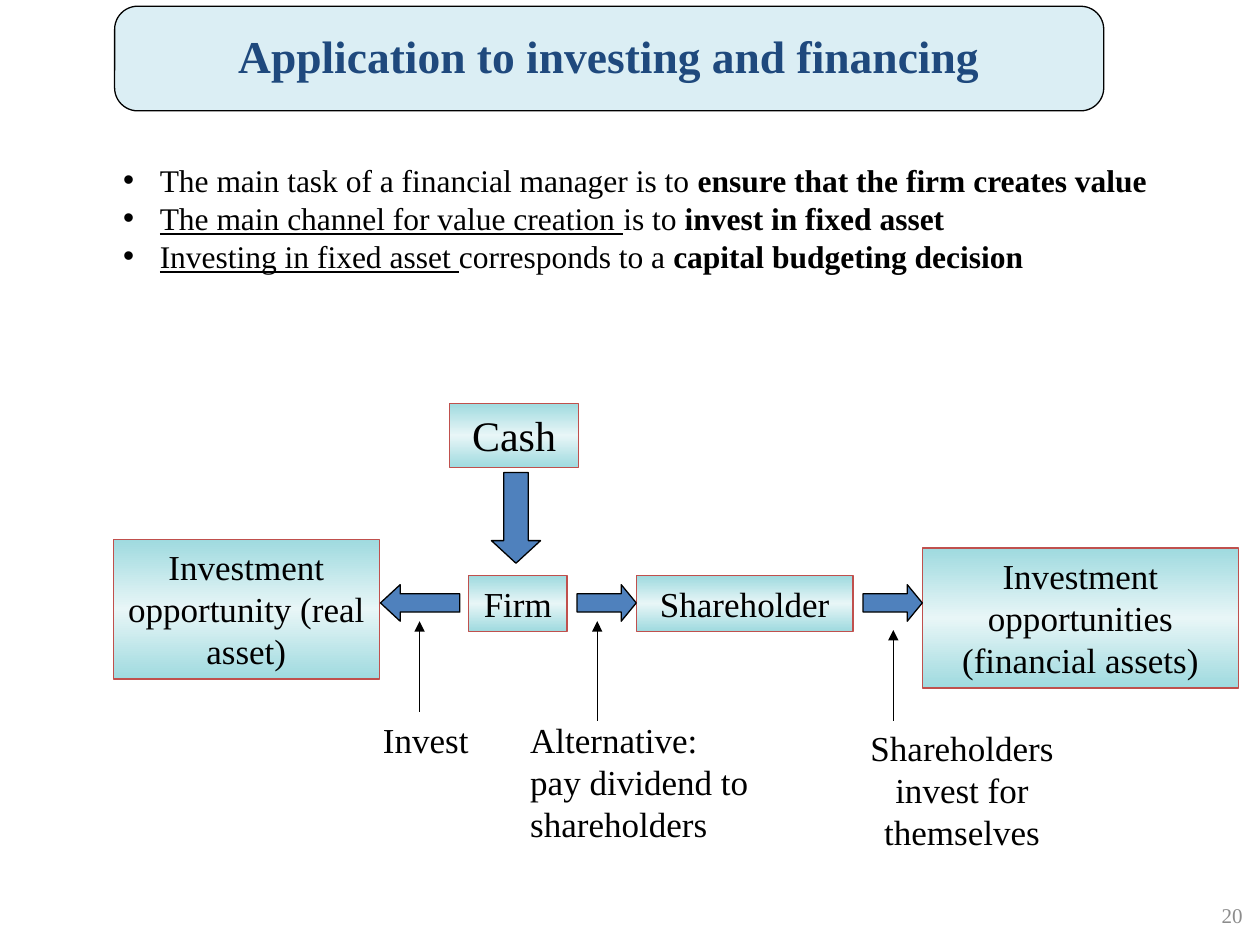
from copy import deepcopy

from lxml.etree import SubElement
from pptx import Presentation
from pptx.dml.color import RGBColor
from pptx.enum.shapes import MSO_CONNECTOR, MSO_SHAPE
from pptx.enum.text import MSO_ANCHOR, PP_ALIGN
from pptx.oxml.ns import qn
from pptx.util import Inches, Pt

WIDTH, HEIGHT = Inches(10), Inches(7.5)
COLS, ROWS = 100, 75
FONT = "Times New Roman"
BLACK, RED, BLUE, NAVY = "000000", "C0504D", "4F81BD", "1F497D"
PALE, GREY = "DBEEF4", "8C8C8C"
BOX_GRADIENT = ("9FDADF", "E8F6F7", "9FDADF")

BULLETS = [
    [("The main task of a financial manager is to ", ""),
     ("ensure that the firm creates value", "b")],
    [("The main channel for value creation ", "u"), ("is to ", ""),
     ("invest in fixed asset", "b")],
    [("Investing in fixed asset ", "u"), ("corresponds to a ", ""),
     ("capital budgeting decision", "b")],
]
BOXES = [
    ("Cash", (35.7, 32, 10.2, 5.1), 24),
    ("Investment opportunity (real asset)", (9, 42.8, 21.1, 11.1), 20),
    ("Firm", (37.2, 45.7, 7.8, 4.4), 20),
    ("Shareholder", (50.5, 45.7, 17.2, 4.4), 20),
    ("Investment opportunities (financial assets)", (73.2, 43.5, 25.1, 11.1), 20),
]
BLOCK_ARROWS = [
    (MSO_SHAPE.DOWN_ARROW, (39, 37.5, 3.9, 7.2), 0.46),
    (MSO_SHAPE.LEFT_ARROW, (30.2, 46.4, 6.3, 2.9), 0.54),
    (MSO_SHAPE.RIGHT_ARROW, (45.8, 46.4, 4.7, 2.9), 0.41),
    (MSO_SHAPE.RIGHT_ARROW, (68.5, 46.4, 4.7, 2.9), 0.41),
]
LABELS = [
    ("Invest", (29.4, 56.5, 10.2, 4.3), PP_ALIGN.LEFT),
    ("Alternative:\vpay dividend to shareholders", (41.1, 56.5, 21, 11), PP_ALIGN.LEFT),
    ("Shareholders invest for themselves", (64.6, 57.2, 23.5, 11), PP_ALIGN.CENTER),
]
POINTERS = [(33.3, 56.5, 49.3), (47.4, 57.2, 49.3), (70.9, 57.2, 50)]


def color(hex_code):
    """Return the colour for a hex string."""
    return RGBColor.from_string(hex_code)


def x(col):
    """Return the horizontal position of a grid column."""
    return int(WIDTH * col / COLS)


def y(row):
    """Return the vertical position of a grid row."""
    return int(HEIGHT * row / ROWS)


def place(cell):
    """Return left, top, width and height of a grid cell."""
    left, top, width, height = cell
    return x(left), y(top), x(width), y(height)


def style_run(r, size, hex_code=BLACK, marks=""):
    """Set the font of a run, with b for bold and u for underline."""
    r.font.name = FONT
    r.font.size = Pt(size)
    r.font.color.rgb = color(hex_code)
    r.font.bold = "b" in marks
    r.font.underline = "u" in marks


def write(s, text, size, align, hex_code=BLACK, marks="", anchor=MSO_ANCHOR.TOP):
    """Write one paragraph of text into a shape."""
    tf = s.text_frame
    tf.word_wrap = True
    tf.vertical_anchor = anchor
    tf.text = text
    p = tf.paragraphs[0]
    p.alignment = align
    for r in p.runs:
        style_run(r, size, hex_code, marks)
    return p


def add_shape(slide, kind, cell, line, fill=None):
    """Add a flat preset shape with a thin outline."""
    s = slide.shapes.add_shape(kind, *place(cell))
    s.shadow.inherit = False
    s.line.color.rgb = color(line)
    s.line.width = Pt(0.75)
    if fill:
        s.fill.solid()
        s.fill.fore_color.rgb = color(fill)
    return s


def add_box(slide, text, cell, size):
    """Add a labelled box with a vertical gradient."""
    s = add_shape(slide, MSO_SHAPE.RECTANGLE, cell, RED)
    s.fill.gradient()
    s.fill.gradient_angle = 90
    first = s._element.spPr.find(".//" + qn("a:gs"))
    middle = deepcopy(first)
    middle.set("pos", "50000")
    first.addnext(middle)
    for stop, hex_code in zip(s.fill.gradient_stops, BOX_GRADIENT):
        stop.color.rgb = color(hex_code)
    write(s, text, size, PP_ALIGN.CENTER)


def add_block_arrow(slide, kind, cell, head):
    """Add a block arrow with the given head length."""
    s = add_shape(slide, kind, cell, BLACK, BLUE)
    s.adjustments[0] = 0.5
    s.adjustments[1] = head


def add_text(slide, text, cell, align, size=20, hex_code=BLACK, anchor=MSO_ANCHOR.TOP):
    """Add a plain text box."""
    write(slide.shapes.add_textbox(*place(cell)), text, size, align, hex_code, anchor=anchor)


def add_pointer(slide, col, start, end):
    """Add a thin vertical arrow from a label up to the flow."""
    s = slide.shapes.add_connector(MSO_CONNECTOR.STRAIGHT, x(col), y(start), x(col), y(end))
    s.line.color.rgb = color(BLACK)
    s.line.width = Pt(0.75)
    SubElement(s.line._get_or_add_ln(), qn("a:tailEnd"), type="triangle")
    SubElement(s._element.spPr, qn("a:effectLst"))


def add_bullets(slide, cell):
    """Add the bulleted statements with their emphasis."""
    tf = slide.shapes.add_textbox(*place(cell)).text_frame
    tf.word_wrap = True
    for i, parts in enumerate(BULLETS):
        p = tf.add_paragraph() if i else tf.paragraphs[0]
        pPr = p._p.get_or_add_pPr()
        pPr.set("marL", str(Inches(0.29)))
        pPr.set("indent", str(-Inches(0.29)))
        SubElement(pPr, qn("a:buFont"), typeface="Arial")
        SubElement(pPr, qn("a:buChar"), char="•")
        for text, marks in parts:
            r = p.add_run()
            r.text = text
            style_run(r, 18, marks=marks)


def add_title(slide, text, cell):
    """Add the rounded title banner."""
    s = add_shape(slide, MSO_SHAPE.ROUNDED_RECTANGLE, cell, BLACK, PALE)
    s.adjustments[0] = 0.22
    p = write(s, text, 26, PP_ALIGN.CENTER, NAVY, "b", MSO_ANCHOR.MIDDLE)
    p.line_spacing = 0.9


def main():
    """Build the slide and save it."""
    prs = Presentation()
    prs.slide_width, prs.slide_height = WIDTH, HEIGHT
    slide = prs.slides.add_slide(prs.slide_layouts[6])
    add_bullets(slide, (8.8, 12.3, 91.7, 13.1))
    for box in BOXES:
        add_box(slide, *box)
    for arrow in BLOCK_ARROWS:
        add_block_arrow(slide, *arrow)
    for label in LABELS:
        add_text(slide, *label)
    for pointer in POINTERS:
        add_pointer(slide, *pointer)
    add_title(slide, "Application to investing and financing", (9.1, 0.5, 78.5, 8.3))
    add_text(slide, "20", (76.3, 70.6, 23.3, 4), PP_ALIGN.RIGHT, 12, GREY, MSO_ANCHOR.MIDDLE)
    prs.save("out.pptx")


if __name__ == "__main__":
    main()
